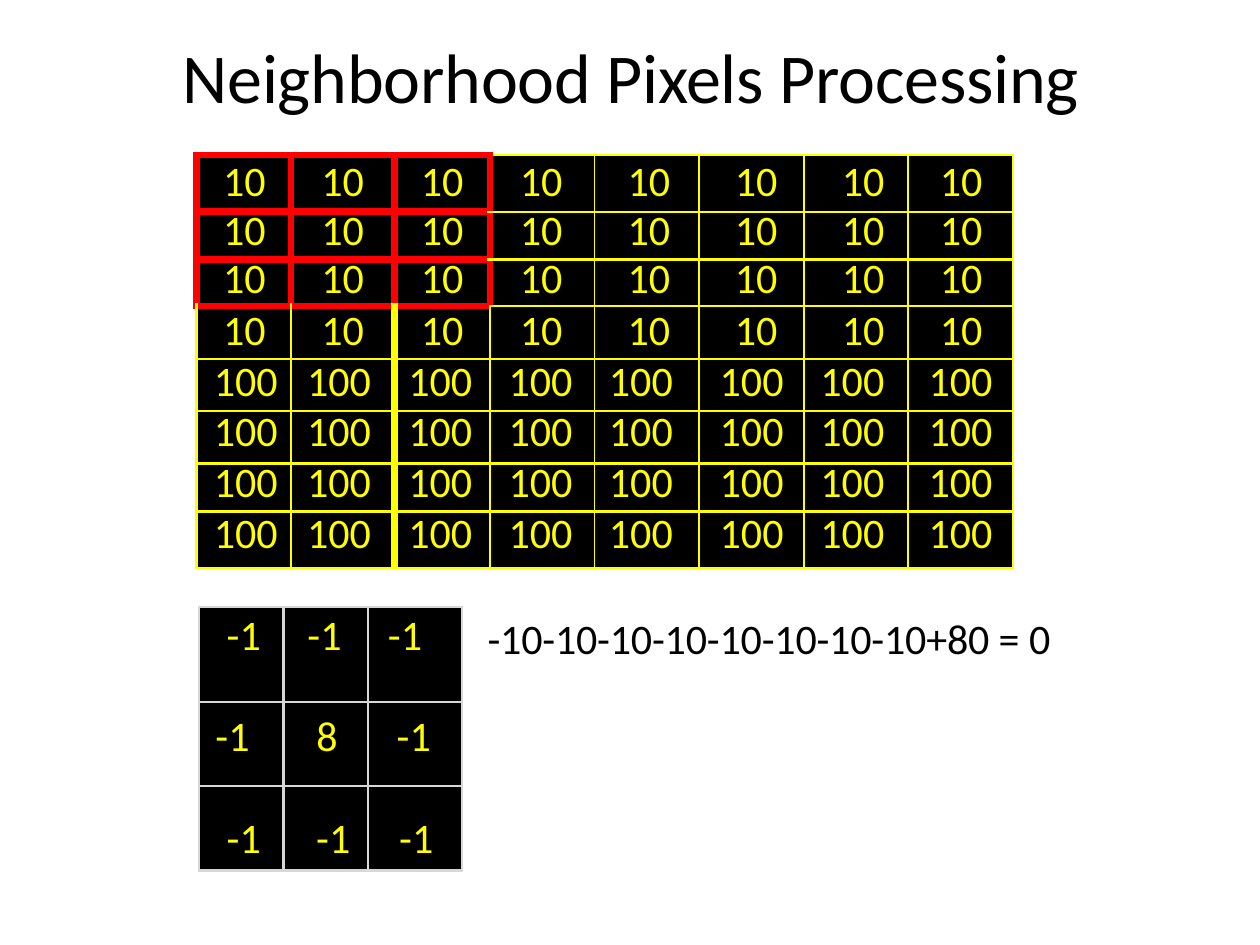
from dataclasses import dataclass

from lxml.etree import SubElement
from pptx import Presentation
from pptx.dml.color import RGBColor
from pptx.enum.text import MSO_ANCHOR, MSO_AUTO_SIZE, PP_ALIGN
from pptx.oxml.ns import qn
from pptx.util import Inches, Pt


@dataclass(frozen=True)
class Theme:
    """Colours, font and type sizes of the slide."""
    font: str = "Calibri"
    title_size: float = 40
    body_size: float = 24
    ink: str = "000000"
    pixel: str = "FFFF00"
    cell: str = "000000"
    window: str = "FF0000"
    kernel_line: str = "D7D7D7"


THEME = Theme()
LEFT, CENTER, RIGHT = PP_ALIGN.LEFT, PP_ALIGN.CENTER, PP_ALIGN.RIGHT

IMAGE_COLUMNS = [0.75, 0.82, 0.76] + [0.83] * 5
IMAGE_ROWS = [0.45, 0.38, 0.37, 0.42, 0.41, 0.42, 0.38, 0.45]
IMAGE_TOPS = [0.01, 0, 0, 0.01, 0, 0, 0, 0]
IMAGE_LEADING = [None, 25.8, 25.9, 28.5, 28.1, 27.1, 25.8, 27.5]
EDGE_WIDTHS = [1.5, 1.5, 4.25, 1, 1, 1.5, 1.5, 1.5, 1]
WINDOW_SIZE = 3
WINDOW_WIDTH = 4.25
TEN = [("10", 0)]
HUNDRED = [("100", 0)]
SPACED_HUNDRED = [("1", 0), ("0", 0.1), ("0", 0)]
TEN_LAYOUT = [
    (CENTER, 0.01, 0), (CENTER, 0, 0), (CENTER, 0, 0), (CENTER, 0, 0.02),
    (RIGHT, 0, 0.23), (RIGHT, 0, 0.21), (RIGHT, 0, 0.19), (CENTER, 0.01, 0),
]
HUNDRED_LAYOUT = [
    (CENTER, 0.03, 0), (CENTER, 0, 0.06), (CENTER, 0, 0.03), (CENTER, 0, 0.03),
    (RIGHT, 0, 0.21), (RIGHT, 0, 0.16), (RIGHT, 0, 0.19), (CENTER, 0, 0),
]

KERNEL_COLUMNS = [0.67, 0.67, 0.75]
KERNEL_ROWS = [0.75, 0.67, 0.67]
KERNEL_TOPS = [0.03, 0.08, 0.22]
KERNEL_LAYOUT = [
    [(RIGHT, 0, 0.18), (LEFT, 0.19, 0), (LEFT, 0.16, 0)],
    [(LEFT, 0.13, 0), (CENTER, 0.02, 0), (RIGHT, 0, 0.25)],
    [(RIGHT, 0, 0.18), (LEFT, 0.26, 0), (RIGHT, 0, 0.23)],
]


def write_runs(paragraph, runs, color, size, layout):
    """Add the runs with their tracking, alignment and paragraph margins."""
    alignment, left, right = layout
    paragraph.alignment = alignment
    properties = paragraph._p.get_or_add_pPr()
    properties.set("marL", str(Inches(left)))
    properties.set("marR", str(Inches(right)))
    properties.set("indent", "0")
    for text, tracking in runs:
        run = paragraph.add_run()
        run.text = text
        run.font.name = THEME.font
        run.font.size = Pt(size)
        run.font.color.rgb = RGBColor.from_string(color)
        run._r.get_or_add_rPr().set("spc", str(round(tracking * 100)))


def set_margins(target, top):
    """Clear the text margins except the top one."""
    target.margin_left = target.margin_right = target.margin_bottom = 0
    target.margin_top = Inches(top)


def add_label(slide, box, runs, size, layout, anchor):
    """Add a wrapped text box that fits its text."""
    frame = slide.shapes.add_textbox(*map(Inches, box)).text_frame
    frame.word_wrap = True
    frame.auto_size = MSO_AUTO_SIZE.SHAPE_TO_FIT_TEXT
    frame.vertical_anchor = anchor
    set_margins(frame, 0.01)
    write_runs(frame.paragraphs[0], runs, THEME.ink, size, layout)


def add_grid(slide, left, top, columns, rows):
    """Add an unbanded table with the given column widths and row heights."""
    table = slide.shapes.add_table(
        len(rows), len(columns), Inches(left), Inches(top),
        Inches(sum(columns)), Inches(sum(rows))).table
    table.first_row = table.horz_banding = False
    for column, width in zip(table.columns, columns):
        column.width = Inches(width)
    for row, height in zip(table.rows, rows):
        row.height = Inches(height)
    return table


def set_borders(cell, borders):
    """Draw the left, right, top and bottom borders from (colour, width) pairs."""
    properties = cell._tc.get_or_add_tcPr()
    for index, (side, (color, width)) in enumerate(zip("LRTB", borders)):
        line = SubElement(properties, qn(f"a:ln{side}"), w=str(Pt(width)))
        fill = SubElement(line, qn("a:solidFill"))
        SubElement(fill, qn("a:srgbClr"), val=color)
        properties.insert(index, line)


def fill_cell(cell, runs, layout, top, borders, leading=None):
    """Fill one numeric cell with its text, background and borders."""
    set_margins(cell, top)
    cell.fill.solid()
    cell.fill.fore_color.rgb = RGBColor.from_string(THEME.cell)
    paragraph = cell.text_frame.paragraphs[0]
    write_runs(paragraph, runs, THEME.pixel, THEME.body_size, layout)
    if leading:
        paragraph.line_spacing = Pt(leading)
    set_borders(cell, borders)


def image_borders(row, column):
    """Return the borders of an image cell, red around the window's cells."""
    red = (THEME.window, WINDOW_WIDTH)

    def vertical(edge):
        inside = row < WINDOW_SIZE and edge <= WINDOW_SIZE
        return red if inside else (THEME.pixel, EDGE_WIDTHS[edge])

    def horizontal(edge):
        inside = column < WINDOW_SIZE and edge <= WINDOW_SIZE
        return red if inside else (THEME.pixel, 1.5)

    return vertical(column), vertical(column + 1), horizontal(row), horizontal(row + 1)


def add_image_grid(slide):
    """Add the pixel values: four rows of 10 above four rows of 100."""
    table = add_grid(slide, 1.56, 1.23, IMAGE_COLUMNS, IMAGE_ROWS)
    for row, (top, leading) in enumerate(zip(IMAGE_TOPS, IMAGE_LEADING)):
        layouts = TEN_LAYOUT if row < 4 else HUNDRED_LAYOUT
        for column, layout in enumerate(layouts):
            hundred = SPACED_HUNDRED if layout[0] == RIGHT else HUNDRED
            fill_cell(table.cell(row, column), TEN if row < 4 else hundred,
                      layout, top, image_borders(row, column), leading)


def add_kernel(slide):
    """Add the 3 by 3 kernel with 8 in the middle of -1 values."""
    table = add_grid(slide, 1.58, 4.82, KERNEL_COLUMNS, KERNEL_ROWS)
    borders = [(THEME.kernel_line, 1.5)] * 4
    for row, layouts in enumerate(KERNEL_LAYOUT):
        for column, layout in enumerate(layouts):
            if row == column == 1:
                runs = [("8", 0)]
            elif layout[0] == RIGHT:
                runs = [("-", 0.1), ("1", 0)]
            else:
                runs = [("-1", 0)]
            fill_cell(table.cell(row, column), runs, layout, KERNEL_TOPS[row], borders)


def main():
    """Build and save the slide."""
    deck = Presentation()
    deck.slide_width, deck.slide_height = Inches(10), Inches(7.5)
    slide = deck.slides.add_slide(deck.slide_layouts[6])
    title = [("Neighborhood ", -0.1), ("Pixels ", -0.2), ("Processing", -0.1)]
    add_label(slide, (0.5, 0.25, 9, 0.69), title, THEME.title_size,
              (CENTER, 0.01, 0), MSO_ANCHOR.MIDDLE)
    add_kernel(slide)
    add_image_grid(slide)
    response = [("-10-10-10-10-10-10-10-10+80 ", -0.1), ("= 0", 0)]
    add_label(slide, (3.86, 4.85, 4.53, 0.42), response, THEME.body_size,
              (LEFT, 0.01, 0), MSO_ANCHOR.TOP)
    deck.save("out.pptx")


if __name__ == "__main__":
    main()
